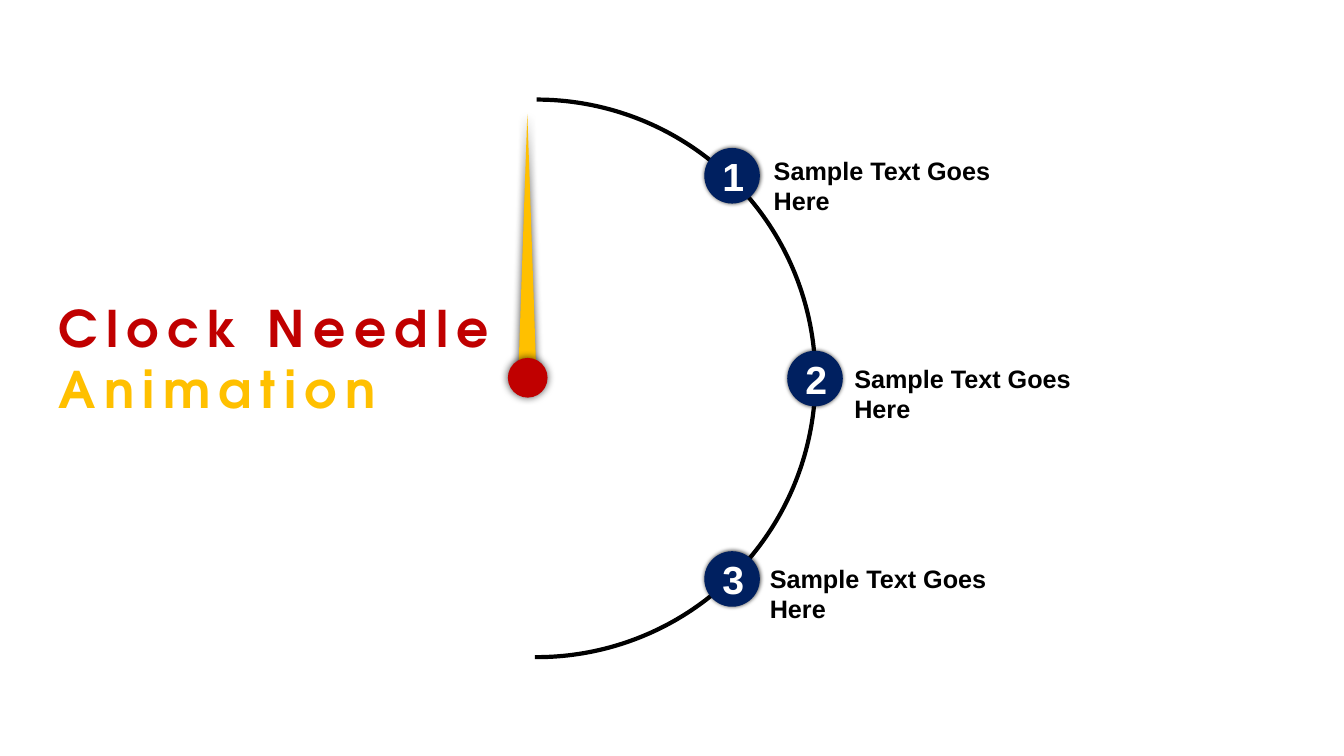
from dataclasses import dataclass

from lxml.etree import SubElement
from pptx import Presentation
from pptx.dml.color import RGBColor
from pptx.enum.shapes import MSO_SHAPE
from pptx.enum.text import MSO_ANCHOR, MSO_AUTO_SIZE, PP_ALIGN
from pptx.oxml.ns import qn
from pptx.util import Cm, Pt


@dataclass(frozen=True)
class Theme:
    red: str = "C00000"
    gold: str = "FFC000"
    navy: str = "002060"
    black: str = "000000"
    white: str = "FFFFFF"
    title_font: str = "TeX Gyre Adventor"
    body_font: str = "Arial"
    title_size: int = 36
    number_size: int = 28
    label_size: int = 18
    title_spacing: int = 6
    arc_width: int = 3


class ClockSlide:
    """Draws the clock dial elements on one slide in one theme."""

    def __init__(self, slide, theme):
        self.s = slide
        self.theme = theme

    def add_text(self, p, text, color, size, font):
        r = p.add_run()
        r.text = text
        values = {"name": font, "size": Pt(size), "bold": True}
        for name, value in values.items():
            setattr(r.font, name, value)
        r.font.color.rgb = RGBColor.from_string(color)
        return r

    def frame(self, sp, **values):
        tf = sp.text_frame
        for name, value in values.items():
            setattr(tf, name, value)
        return tf.paragraphs[0]

    def title(self, box, parts):
        sp = self.s.shapes.title
        for name, value in zip(("left", "top", "width", "height"), box):
            setattr(sp, name, Cm(value))
        p = self.frame(sp, word_wrap=True, vertical_anchor=MSO_ANCHOR.TOP,
                       auto_size=MSO_AUTO_SIZE.SHAPE_TO_FIT_TEXT)
        p.alignment = PP_ALIGN.LEFT
        for text, color in parts:
            r = self.add_text(p, text, color, self.theme.title_size, self.theme.title_font)
            r.font._element.set("spc", str(self.theme.title_spacing * 100))

    def glowing(self, shapes, kind, box, color, blur):
        sp = shapes.add_shape(kind, *map(Cm, box))
        sp.fill.solid()
        sp.fill.fore_color.rgb = RGBColor.from_string(color)
        sp.line.fill.background()
        sp.shadow.inherit = False
        effects = sp._element.spPr.find(qn("a:effectLst"))
        shadow = SubElement(effects, qn("a:outerShdw"), blurRad=str(Pt(blur)),
                            dist="0", dir="0", algn="ctr", rotWithShape="0")
        shade = SubElement(shadow, qn("a:srgbClr"), val=self.theme.black)
        SubElement(shade, qn("a:alpha"), val="70000")
        return sp

    def needle(self, pointer, hub):
        shapes = self.s.shapes.add_group_shape().shapes
        self.glowing(shapes, MSO_SHAPE.ISOSCELES_TRIANGLE, pointer, self.theme.gold, 6)
        self.glowing(shapes, MSO_SHAPE.OVAL, hub, self.theme.red, 6)

    def arc(self, box, start, end):
        sp = self.s.shapes.add_shape(MSO_SHAPE.ARC, *map(Cm, box))
        sp.adjustments[0], sp.adjustments[1] = start, end
        sp.fill.background()
        sp.line.color.rgb = RGBColor.from_string(self.theme.black)
        sp.line.width = Pt(self.theme.arc_width)
        sp.shadow.inherit = False

    def marker(self, number, left, top, size=1.4):
        sp = self.glowing(self.s.shapes, MSO_SHAPE.OVAL, (left, top, size, size),
                          self.theme.navy, 3)
        p = self.frame(sp, vertical_anchor=MSO_ANCHOR.MIDDLE)
        p.alignment = PP_ALIGN.CENTER
        self.add_text(p, str(number), self.theme.white, self.theme.number_size,
                      self.theme.body_font)

    def label(self, text, left, top, width=6.83, height=1.02):
        sp = self.s.shapes.add_textbox(*map(Cm, (left, top, width, height)))
        p = self.frame(sp, word_wrap=True, auto_size=MSO_AUTO_SIZE.SHAPE_TO_FIT_TEXT)
        self.add_text(p, text, self.theme.black, self.theme.label_size,
                      self.theme.body_font)


def main():
    prs = Presentation()
    prs.slide_width, prs.slide_height = Cm(33.87), Cm(19.05)
    theme = Theme()
    clock = ClockSlide(prs.slides.add_slide(prs.slide_layouts[5]), theme)
    clock.title((1.22, 7.37, 16.54, 3.33),
                [("Clock Needle ", theme.red), ("Animation", theme.gold)])
    clock.needle((13.06, 2.87, 0.46, 6.65), (12.8, 9.02, 1, 1))
    clock.arc((6.5, 2.51, 14.05, 14.05), 162, 54.22)
    stops = [
        ((17.75, 3.73), (19.25, 3.78)),
        ((19.84, 8.84), (21.28, 9.02)),
        ((17.75, 13.89), (19.15, 14.07)),
    ]
    for number, (marker, label) in enumerate(stops, 1):
        clock.marker(number, *marker)
        clock.label("Sample Text Goes Here", *label)
    prs.save("out.pptx")


if __name__ == "__main__":
    main()
